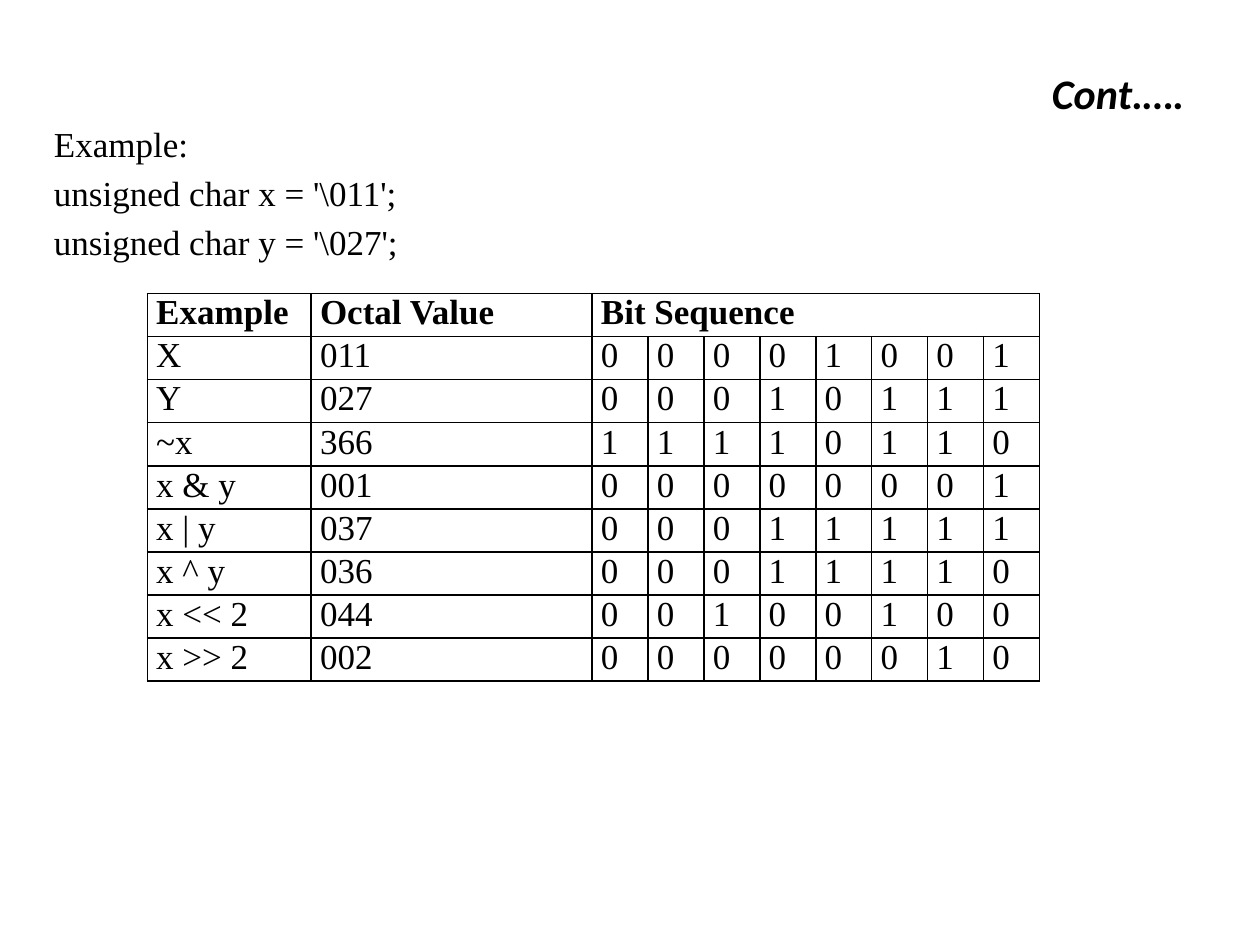
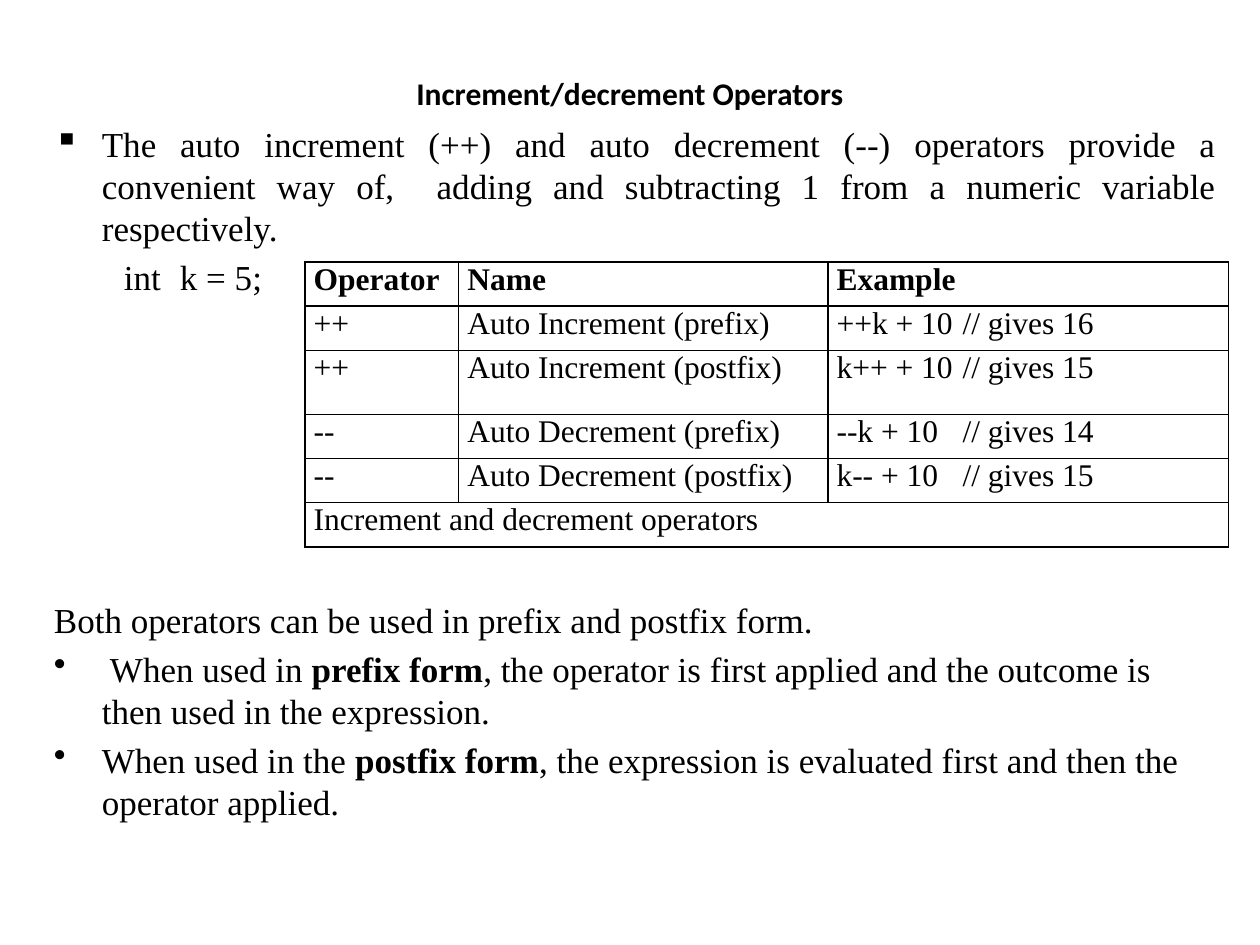
from pptx import Presentation
from pptx.dml.color import RGBColor
from pptx.enum.text import MSO_ANCHOR, PP_ALIGN
from pptx.oxml import parse_xml
from pptx.oxml.ns import nsdecls
from pptx.util import Inches, Pt

BLACK = RGBColor(0, 0, 0)
HEAD, BODY = "Calibri", "Times New Roman"
LEFT, RIGHT = PP_ALIGN.LEFT, PP_ALIGN.RIGHT
MID, FULL = PP_ALIGN.CENTER, PP_ALIGN.JUSTIFY
MIDDLE = MSO_ANCHOR.MIDDLE
GAP = 4          # points before each paragraph
STEP = 28        # points from one text line to the next paragraph
HANG = Inches(0.38)

prs = Presentation()
prs.slide_width, prs.slide_height = Inches(10), Inches(7.5)
plain = prs.slide_layouts[5]

# Each paragraph: bullet, alignment, space before, runs (odd runs are bold)
decks = [
    dict(
        title="Cont.….", size=24, slant=True, align=RIGHT,
        text=[
            ("", LEFT, 0, ["Example:"]),
            ("", LEFT, GAP, ["unsigned char x = '\\011';"]),
            ("", LEFT, GAP, ["unsigned char y = '\\027';"]),
        ],
        left=1.17, top=2.33, font=20,
        cols=[1.3, 2.23] + [0.444] * 8, rows=[0.342] * 9,
        cells=[["Example", "Octal Value", "Bit Sequence"]] + [
            [name, octal, *bits] for name, octal, bits in [
                ("X", "011", "00001001"),
                ("Y", "027", "00010111"),
                ("~x", "366", "11110110"),
                ("x & y", "001", "00000001"),
                ("x | y", "037", "00011111"),
                ("x ^ y", "036", "00011110"),
                ("x << 2", "044", "00100100"),
                ("x >> 2", "002", "00000010"),
            ]
        ],
    ),
    dict(
        title="Increment/decrement Operators", size=18, slant=False, align=MID,
        text=[
            ("▪", FULL, 0, [
                "The auto increment (++) and auto decrement (--) operators "
                "provide a convenient way of,  adding and subtracting 1 from "
                "a numeric variable respectively. "]),
            ("", LEFT, GAP, ["        int\tk = 5;"]),
            # Leaves room for six lines beside the table
            ("", LEFT, GAP + 6 * STEP, [
                "Both operators can be used in prefix and postfix form."]),
            ("•", LEFT, GAP, [
                " When used in ", "prefix form",
                ", the operator is first applied and the outcome is then "
                "used in the expression."]),
            ("•", LEFT, GAP, [
                "When used in the ", "postfix form",
                ", the expression is evaluated first and then the operator "
                "applied."]),
        ],
        left=2.42, top=2.08, font=18,
        cols=[1.22, 2.93, 3.18], rows=[0.35, 0.35, 0.51, 0.35, 0.35, 0.35],
        cells=[
            ["Operator", "Name", "Example"],
            ["++", "Auto Increment (prefix)", "++k + 10\t// gives 16"],
            ["++", "Auto Increment (postfix)", "k++ + 10\t// gives 15"],
            ["--", "Auto Decrement (prefix)", "--k + 10\t// gives 14"],
            ["--", "Auto Decrement (postfix)", "k-- + 10\t// gives 15"],
            ["Increment and decrement operators"],
        ],
    ),
]


def style(para, name, size, bold=None):
    font = para.font
    font.name, font.size, font.bold = name, Pt(size), bold
    font.color.rgb = BLACK


def border(cell):
    props = cell._tc.get_or_add_tcPr()
    for i, side in enumerate(("lnL", "lnR", "lnT", "lnB")):
        props.insert(i, parse_xml(
            f'<a:{side} {nsdecls("a")} w="12700"><a:solidFill>'
            f'<a:srgbClr val="{BLACK}"/></a:solidFill></a:{side}>'))


for deck in decks:
    slide = prs.slides.add_slide(plain)

    # Title
    title = slide.shapes.title
    title.left, title.top = Inches(0.5), Inches(0.3)
    title.width, title.height = Inches(9), Inches(0.87)
    frame = title.text_frame
    frame.text, frame.vertical_anchor = deck["title"], MIDDLE
    para = frame.paragraphs[0]
    para.alignment = deck["align"]
    style(para, HEAD, deck["size"], True)
    para.font.italic = deck["slant"]

    # Body text
    box = slide.shapes.add_textbox(
        Inches(0.33), Inches(0.92), Inches(9.42), Inches(6.28))
    frame = box.text_frame
    frame.word_wrap = True
    for i, (mark, align, gap, runs) in enumerate(deck["text"]):
        para = frame.add_paragraph() if i else frame.paragraphs[0]
        para.alignment, para.space_before = align, Pt(gap)
        if mark:
            props = para._p.get_or_add_pPr()
            props.set("marL", str(HANG))
            props.set("indent", str(-HANG))
            props.append(parse_xml(
                f'<a:buChar {nsdecls("a")} char="{mark}"/>'))
        style(para, BODY, 20)
        for j, words in enumerate(runs):
            run = para.add_run()
            run.text = words
            if j % 2:
                run.font.bold = True

    # Table
    cols, rows = deck["cols"], deck["rows"]
    table = slide.shapes.add_table(
        len(rows), len(cols), Inches(deck["left"]), Inches(deck["top"]),
        Inches(sum(cols)), Inches(sum(rows))).table
    table.first_row = table.horz_banding = False
    for col, width in zip(table.columns, cols):
        col.width = Inches(width)
    for row, height in zip(table.rows, rows):
        row.height = Inches(height)
    for r, line in enumerate(deck["cells"]):
        # A short row stretches its last cell to the right edge
        last = len(line) - 1
        if len(line) < len(cols):
            table.cell(r, last).merge(table.cell(r, len(cols) - 1))
        for c in range(len(cols)):
            cell = table.cell(r, c)
            cell.fill.background()
            border(cell)
            cell.margin_left = cell.margin_right = Inches(0.07)
            cell.margin_top = cell.margin_bottom = 0
            if c <= last:
                cell.text = line[c]
            para = cell.text_frame.paragraphs[0]
            para.alignment = FULL
            style(para, BODY, deck["font"], r == 0)

prs.save("out.pptx")
